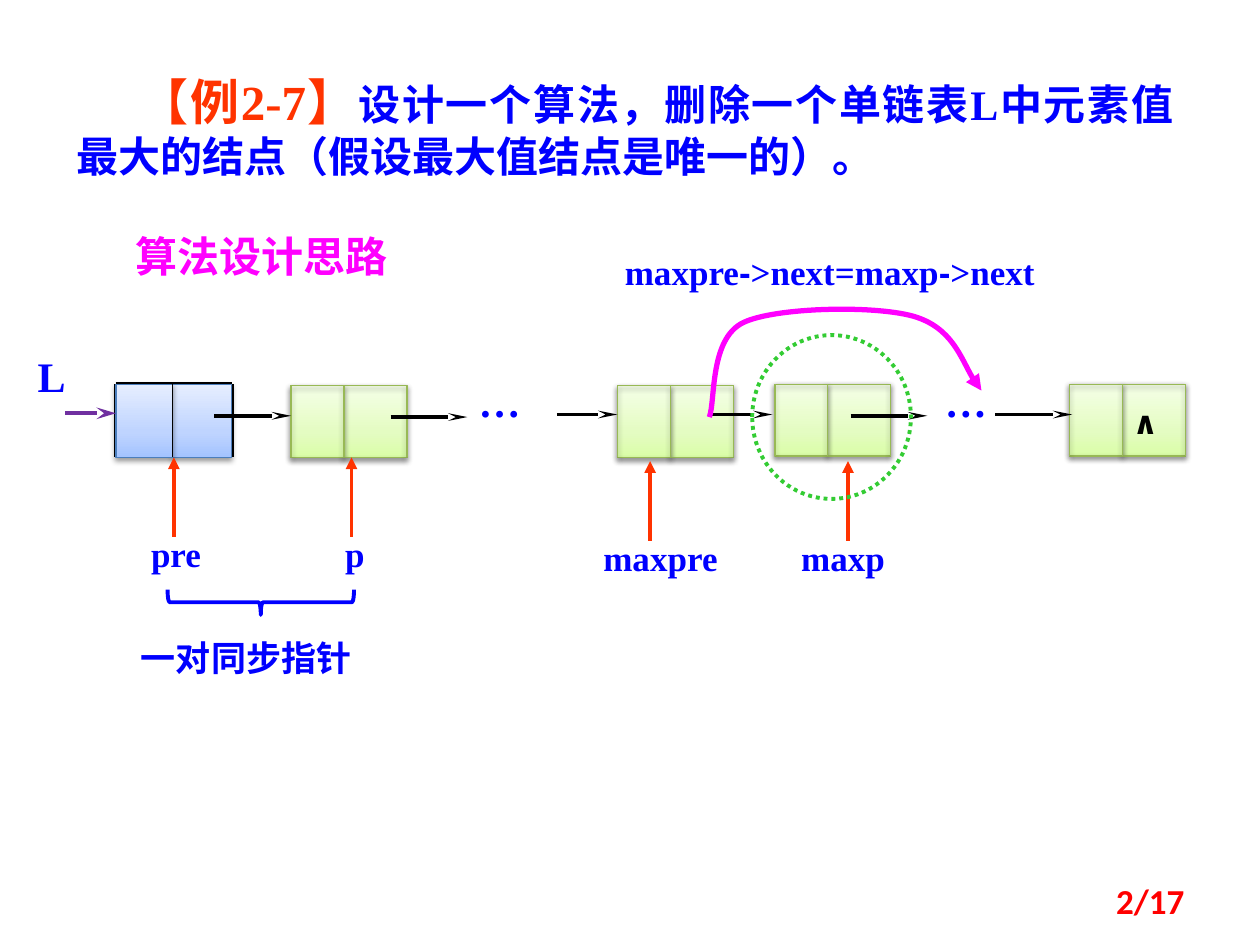
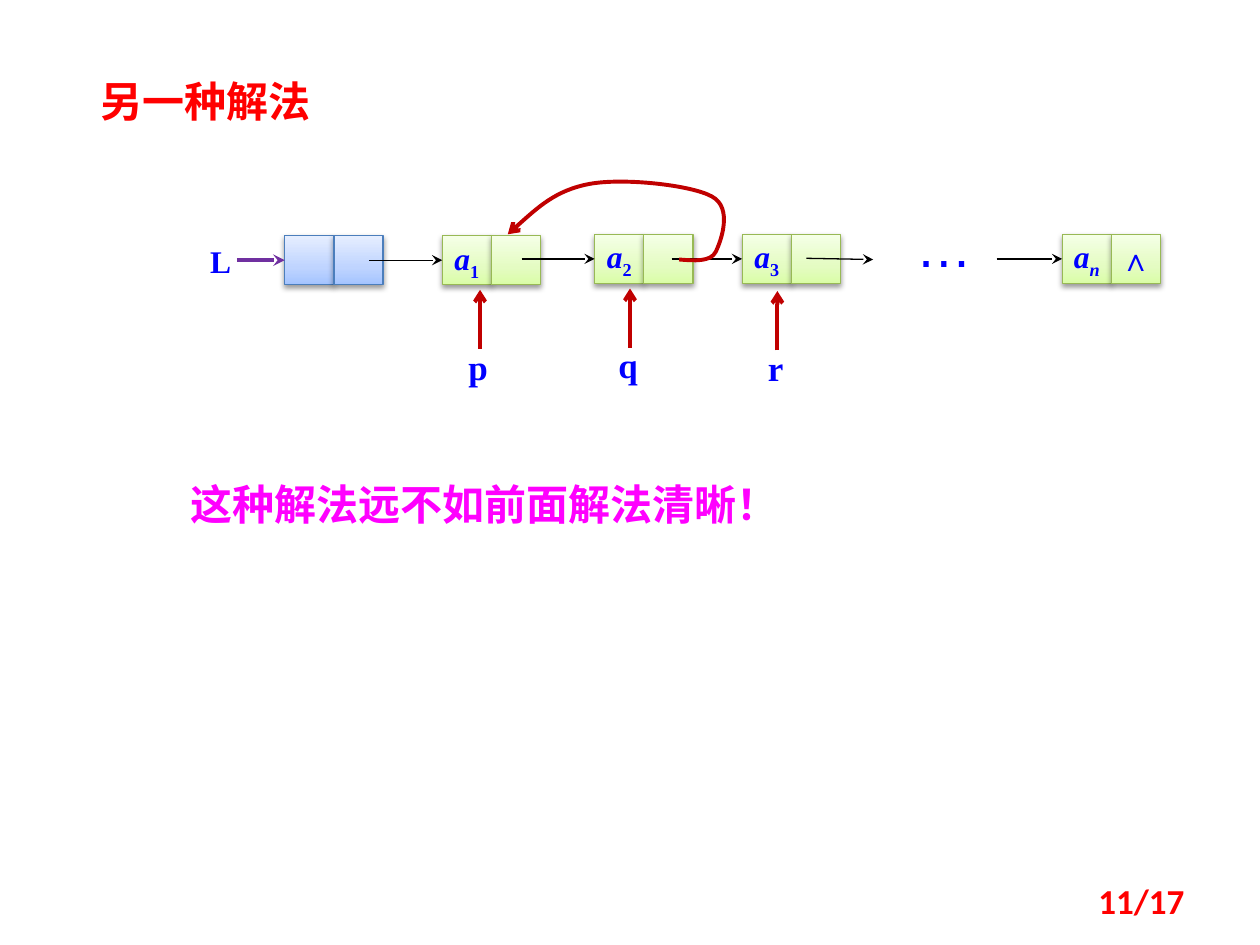
import dataclasses

import pptx
import pptx.dml.color
import pptx.enum.dml
import pptx.enum.shapes
import pptx.enum.text
import pptx.oxml.ns
import pptx.util
from lxml import etree

ALIGN = pptx.enum.text.PP_ALIGN
ANCHOR = pptx.enum.text.MSO_ANCHOR
SHAPE = pptx.enum.shapes.MSO_SHAPE
LEFT_SIDE = 1


@dataclasses.dataclass(frozen=True)
class Theme:
    """Colours, typefaces and type sizes shared by the slides."""
    columns: float = 10
    rows: float = 7.5
    latin: str = "Times New Roman"
    chinese: str = "Noto Sans CJK SC"
    plain: str = "Arial"
    number: str = "Calibri"
    symbol: str = "DejaVu Sans"
    ink: str = "000000"
    blue: str = "0000FF"
    red: str = "FF0000"
    orange: str = "FF3300"
    magenta: str = "FF00FF"
    purple: str = "7030A0"
    crimson: str = "C00000"
    green: str = "33CC33"
    head_node: tuple = ("4B7EBC", ("A4C4FF", "BFD4FF", "E6EEFF"))
    data_node: tuple = ("98B955", ("DAFDA7", "E4FCC2", "F5FFE7"))
    stops: tuple = (0, 35, 100)
    thin: float = 0.75
    thick: float = 2.25
    huge: int = 32
    example: int = 28
    heading: int = 24
    label: int = 20
    cell: int = 18


THEME = Theme()


def child(parent, tag, **attributes):
    """Append a namespaced element with its attributes."""
    return etree.SubElement(parent, pptx.oxml.ns.qn(tag), attributes)


def rgb(code):
    """Turn a hex code into a colour."""
    return pptx.dml.color.RGBColor.from_string(code)


def write_run(paragraph, text, size=THEME.label, color=THEME.blue, face=THEME.latin,
              east=None, bold=True, italic=False, baseline=0):
    """Add one formatted run to a paragraph."""
    run = paragraph.add_run()
    run.text = text
    font = run.font
    font.size, font.name = pptx.util.Pt(size), face
    font.bold, font.italic = bold, italic
    font.color.rgb = rgb(color)
    properties = run._r.get_or_add_rPr()
    if east:
        child(properties, "a:ea", typeface=east)
    if baseline:
        properties.set("baseline", str(baseline * 1000))


class Board:
    """Holds the theme and the current slide, and draws each kind of element."""

    def __init__(self, deck, theme):
        """Start on a deck with a theme."""
        self.deck, self.theme = deck, theme
        self.column = deck.slide_width / theme.columns
        self.row = deck.slide_height / theme.rows

    def new_slide(self, page):
        """Open a blank slide with its page number."""
        self.slide = self.deck.slides.add_slide(self.deck.slide_layouts[6])
        self.canvas = self.slide.shapes
        self.text(7.17, 6.95, 2.33, 0.4, (page, dict(color=self.theme.red, face=self.theme.number)),
                  align=ALIGN.RIGHT, anchor=ANCHOR.MIDDLE)

    def place(self, x, y):
        """Convert columns and rows to slide units."""
        return round(x * self.column), round(y * self.row)

    def text(self, left, top, width, height, *runs, align=ALIGN.LEFT, anchor=ANCHOR.TOP,
             inset=True, indent=0):
        """Add a text box made of (text, format) runs."""
        box = self.canvas.add_textbox(*self.place(left, top), *self.place(width, height))
        frame = box.text_frame
        frame.word_wrap, frame.vertical_anchor = True, anchor
        if not inset:
            frame.margin_left = frame.margin_right = frame.margin_top = frame.margin_bottom = 0
        paragraph = frame.paragraphs[0]
        paragraph.alignment = align
        if indent:
            paragraph._p.get_or_add_pPr().set("indent", str(round(indent * self.column)))
        for words, style in runs:
            write_run(paragraph, words, **style)

    def stroke(self, item, color, weight, head=None, head_width="med", head_length="med"):
        """Colour an outline and give it an optional arrowhead."""
        item.line.color.rgb = rgb(color)
        item.line.width = pptx.util.Pt(weight)
        if head:
            outline = item._element.spPr.xpath("a:ln")[0]
            child(outline, "a:tailEnd", type=head, w=head_width, len=head_length)

    def cast_shadow(self, effects):
        """Add the soft shadow below a node."""
        shadow = child(effects, "a:outerShdw", blurRad=str(pptx.util.Pt(3.1)),
                       dist=str(pptx.util.Pt(1.6)), dir="5400000", rotWithShape="0")
        child(child(shadow, "a:srgbClr", val=self.theme.ink), "a:alpha", val="38000")

    def line(self, start, end, color, weight, target=None, shadow=False, **head):
        """Draw a straight line, joined to the left of a target if given."""
        connector = self.canvas.add_connector(pptx.enum.shapes.MSO_CONNECTOR.STRAIGHT,
                                              *self.place(*start), *self.place(*end))
        if target is not None:
            connector.end_connect(target, LEFT_SIDE)
        self.stroke(connector, color, weight, **head)
        effects = child(connector._element.spPr, "a:effectLst")
        if shadow:
            self.cast_shadow(effects)

    def outline(self, kind, left, top, width, height, color, dash=None, turn=0):
        """Draw an unfilled preset shape."""
        item = self.canvas.add_shape(kind, *self.place(left, top), *self.place(width, height))
        item.shadow.inherit = False
        item.fill.background()
        self.stroke(item, color, self.theme.thick)
        item.line.dash_style = dash
        item.rotation = turn

    def curve(self, points, color, weight, head):
        """Draw a chain of Bézier curves through a start and triples of points."""
        start, *rest = [self.place(*point) for point in points]
        builder = self.canvas.build_freeform(*start)
        builder.add_line_segments(rest, close=False)
        item = builder.convert_to_shape()
        steps = iter(item._element.xpath(".//a:lnTo"))
        for triple in zip(steps, steps, steps):
            outline = triple[0].getparent()
            bend = child(outline, "a:cubicBezTo")
            for step in triple:
                bend.append(step[0])
                outline.remove(step)
        item.shadow.inherit = False
        item.fill.background()
        self.stroke(item, color, weight, head)

    def cell(self, left, top, width, height, look, runs=()):
        """Draw one shaded cell of a list node."""
        edge, shades = look
        item = self.canvas.add_shape(SHAPE.RECTANGLE, *self.place(left, top),
                                     *self.place(width, height))
        item.fill.gradient()
        item.fill.gradient_angle = 90
        gradient = item._element.spPr.xpath(".//a:gsLst")[0]
        for old in list(gradient):
            gradient.remove(old)
        for share, shade in zip(self.theme.stops, shades):
            child(child(gradient, "a:gs", pos=str(share * 1000)), "a:srgbClr", val=shade)
        self.stroke(item, edge, self.theme.thin)
        item.shadow.inherit = False
        self.cast_shadow(item._element.spPr.xpath("a:effectLst")[0])
        if runs:
            frame = item.text_frame
            frame.word_wrap, frame.vertical_anchor = False, ANCHOR.MIDDLE
            frame.paragraphs[0].alignment = ALIGN.CENTER
            for words, style in runs:
                write_run(frame.paragraphs[0], words, **style)
        return item

    def framed_node(self, left, top):
        """Draw a grouped data node with its edges and divider."""
        self.canvas = self.slide.shapes.add_group_shape().shapes
        divider, right, bottom = left + 0.42, left + 0.92, top + 0.57
        look = self.theme.data_node
        self.cell(divider, top, 0.5, 0.57, look)
        self.cell(left, top, 0.42, 0.57, look)
        edges = [((left, y), (right, y)) for y in (top, bottom)]
        edges += [((x, top), (x, bottom)) for x in (left, divider, right)]
        for start, end in edges:
            self.line(start, end, look[0], self.theme.thin, shadow=True)
        self.canvas = self.slide.shapes


def draw_idea(board):
    """Show deletion of the largest node with paired pointers."""
    theme = board.theme
    board.new_slide("2/17")
    title = dict(size=theme.heading, east=theme.chinese)
    board.text(0.51, 0.52, 8.9, 0.98,
               ("【例2-7】", dict(title, size=theme.example, color=theme.orange)),
               ("设计一个算法，删除一个单链表L中元素值最大的结点（假设最大值结点是唯一的）。", title),
               align=ALIGN.JUSTIFY, indent=0.5)
    board.text(0.98, 1.78, 3.07, 0.5,
               ("算法设计思路", dict(title, face=theme.chinese, color=theme.magenta)))
    board.text(0.2, 2.73, 0.47, 0.5, ("L", dict(size=theme.heading)))

    top, divider, right, bottom = 3.05, 1.37, 1.84, 3.63
    for start, end in [((0.92, top), (right, top)), ((0.92, top), (0.92, bottom)),
                       ((right, top), (right, bottom))]:
        board.line(start, end, theme.ink, theme.thick)
    board.cell(divider, top, 0.47, 0.58, theme.head_node)
    board.cell(0.92, top, 0.45, 0.58, theme.head_node)
    board.line((divider, top), (divider, bottom), theme.ink, 1)

    for left, node_top in [(8.49, 3.05), (2.31, 3.06), (6.15, 3.05), (4.9, 3.06)]:
        board.framed_node(left, node_top)
    board.line((0.52, 3.28), (0.92, 3.28), theme.purple, theme.thick,
               head="stealth", head_length="lg")
    for begin, end, y in [(1.7, 2.31, 3.3), (3.1, 3.71, 3.31), (4.42, 4.9, 3.29),
                          (5.65, 6.13, 3.29), (6.75, 7.36, 3.3), (7.9, 8.51, 3.29)]:
        board.line((begin, y), (end, y), theme.ink, theme.thick,
                   head="stealth", head_width="sm", head_length="lg")
    for left in (3.7, 7.4):
        board.text(left, 2.93, 0.79, 0.5, ("…", dict(size=theme.heading)))
    board.text(8.89, 3.15, 0.39, 0.4,
               ("∧", dict(size=theme.cell, face=theme.symbol, east=theme.symbol, color=theme.ink)))

    for pointer, x, tip, left, width in [("pre", 1.38, 3.63, 1.1, 0.71), ("p", 2.79, 3.63, 2.64, 0.4),
                                         ("maxpre", 5.16, 3.66, 4.69, 1.26),
                                         ("maxp", 6.73, 3.66, 6.26, 0.95)]:
        board.line((x, tip + 0.63), (x, tip), theme.orange, theme.thick, head="triangle")
        board.text(left, tip + 0.55, width, 0.43, (pointer, {}))
    board.outline(SHAPE.OVAL, 5.97, 2.66, 1.26, 1.3, theme.green,
                  dash=pptx.enum.dml.MSO_LINE.ROUND_DOT)
    board.curve([(5.63, 3.31), (5.68, 3.18), (5.63, 2.69), (5.9, 2.56), (6.15, 2.44),
                 (6.93, 2.42), (7.25, 2.51), (7.56, 2.6), (7.68, 2.98), (7.79, 3.1)],
                theme.magenta, 3, "triangle")
    dash = ("-", dict(face=theme.plain))
    board.text(4.74, 1.99, 3.69, 0.34, ("maxpre", {}), dash, (">next=maxp", {}), dash,
               (">next", {}), align=ALIGN.CENTER, inset=False)
    board.outline(SHAPE.LEFT_BRACE, 1.97, 4.04, 0.2, 1.48, theme.blue, turn=270)
    board.text(1.02, 5, 2.11, 0.44,
               ("一对同步指针", dict(face=theme.chinese, east=theme.chinese)))


def draw_alternative(board):
    """Show the other solution, which reverses links with three pointers."""
    theme = board.theme
    side = 0.39
    board.new_slide("11/17")
    heading = dict(size=theme.heading, east=theme.chinese)
    board.text(0.7, 0.55, 2.34, 0.5,
               ("另一种解法", dict(heading, face=theme.chinese, color=theme.red)))
    board.text(1.57, 1.87, 0.29, 0.4, ("L", dict(size=theme.cell)))

    symbol = dict(size=theme.cell)
    nodes = [(2.26, 1.87, theme.head_node, "", 1.88), (3.51, 1.87, theme.data_node, "1", 2.93),
             (4.72, 1.86, theme.data_node, "2", 4.14), (5.89, 1.86, theme.data_node, "3", 5.33),
             (8.43, 1.86, theme.data_node, "n", 7.91)]
    for left, top, look, index, link in nodes:
        value = index and [("a", dict(symbol, italic=True)),
                           (index, dict(symbol, italic=index == "n", baseline=-25))]
        data = board.cell(left, top, side, side, look, value)
        board.cell(left + side, top, side, side, look, [("∧", symbol)] if index == "n" else ())
        color, weight = (theme.ink, theme.thin) if index else (theme.purple, theme.thick)
        middle = top + side / 2
        board.line((link, middle), (left, middle), color, weight, target=data, head="stealth")
    board.line((6.4, 2.05), (6.93, 2.06), theme.ink, theme.thin, head="stealth")
    board.text(7.17, 1.63, 0.79, 0.63,
               ("…", dict(size=theme.huge, face=theme.plain, bold=False)))

    for pointer, x, tip, left in [("p", 3.81, 2.3, 3.52), ("q", 5, 2.29, 4.71), ("r", 6.17, 2.31, 5.88)]:
        board.line((x, tip + 0.47), (x, tip), theme.crimson, theme.thick, head="arrow")
        board.text(left, tip + 0.39, 0.55, 0.44, (pointer, {}), align=ALIGN.CENTER)
    board.curve([(5.39, 2.06), (5.51, 2.07), (5.64, 2.08), (5.68, 2), (5.72, 1.92),
                 (5.82, 1.65), (5.65, 1.56), (5.49, 1.47), (4.95, 1.41), (4.68, 1.46),
                 (4.41, 1.51), (4.22, 1.69), (4.03, 1.86)], theme.crimson, theme.thick, "arrow")
    board.text(1.41, 3.75, 5.39, 0.5,
               ("这种解法远不如前面解法清晰！", dict(heading, color=theme.magenta)))


def main():
    """Build the deck and save it."""
    deck = pptx.Presentation()
    deck.slide_width, deck.slide_height = pptx.util.Inches(10), pptx.util.Inches(7.5)
    board = Board(deck, THEME)
    draw_idea(board)
    draw_alternative(board)
    deck.save("out.pptx")


if __name__ == "__main__":
    main()
